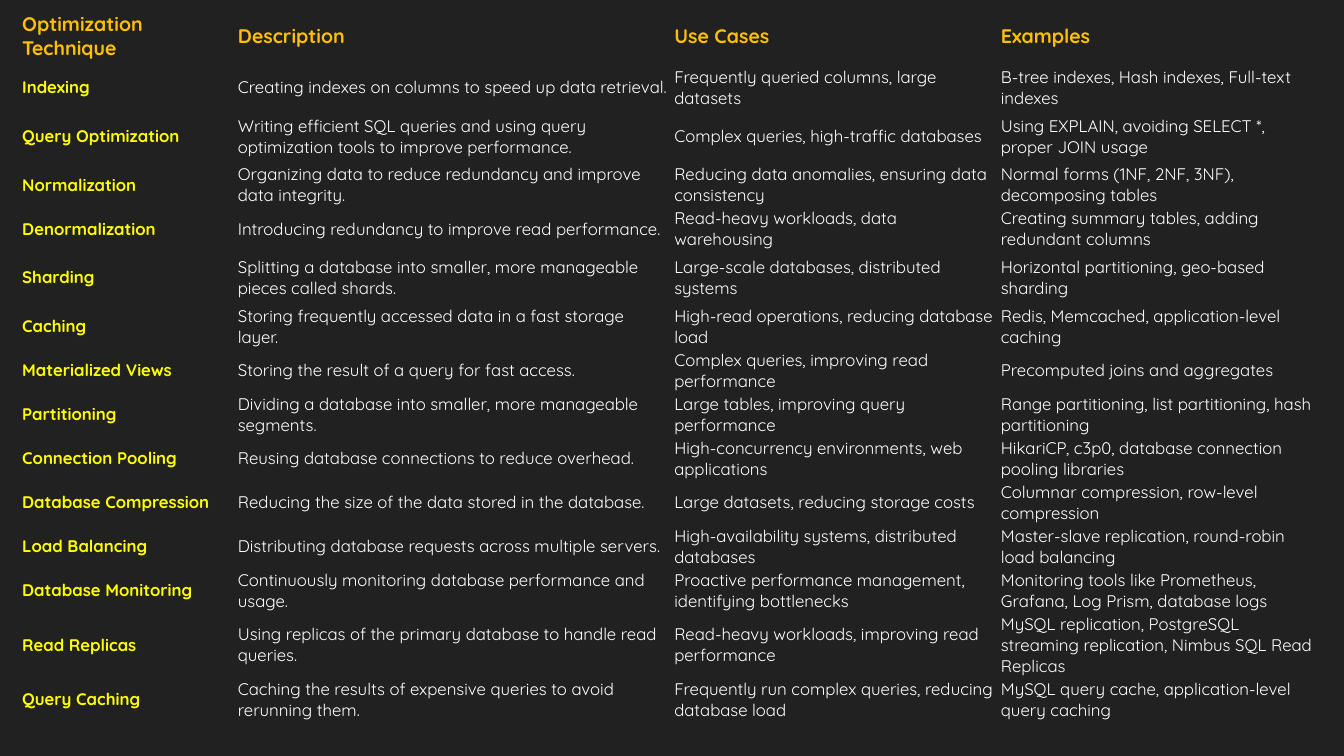
from lxml.etree import SubElement
from pptx import Presentation
from pptx.dml.color import RGBColor
from pptx.enum.text import MSO_ANCHOR as Anchor
from pptx.oxml.ns import qn
from pptx.util import Pt

COLORS = {"background": "212121", "header": "FFC000", "technique": "FFFF00", "body": "FFFFFF"}
FONT = "Quicksand"
COLUMN_WIDTHS = [154.08, 311.76, 233.28, 233.28]
HEADER_HEIGHT, ROW_HEIGHT, TALL_HEIGHT = 41.76, 29.52, 38.16
TALL_TECHNIQUES = {"Query Optimization", "Sharding", "Read Replicas"}

HEADINGS = ["Optimization Technique", "Description", "Use Cases", "Examples"]
TECHNIQUES = [
    ["Indexing", "Creating indexes on columns to speed up data retrieval.",
     "Frequently queried columns, large datasets",
     "B-tree indexes, Hash indexes, Full-text indexes"],
    ["Query Optimization",
     "Writing efficient SQL queries and using query optimization tools to improve performance.",
     "Complex queries, high-traffic databases",
     "Using EXPLAIN, avoiding SELECT *, proper JOIN usage"],
    ["Normalization", "Organizing data to reduce redundancy and improve data integrity.",
     "Reducing data anomalies, ensuring data consistency",
     "Normal forms (1NF, 2NF, 3NF), decomposing tables"],
    ["Denormalization", "Introducing redundancy to improve read performance.",
     "Read-heavy workloads, data warehousing",
     "Creating summary tables, adding redundant columns"],
    ["Sharding", "Splitting a database into smaller, more manageable pieces called shards.",
     "Large-scale databases, distributed systems",
     "Horizontal partitioning, geo-based sharding"],
    ["Caching", "Storing frequently accessed data in a fast storage layer.",
     "High-read operations, reducing database load",
     "Redis, Memcached, application-level caching"],
    ["Materialized Views", "Storing the result of a query for fast access.",
     "Complex queries, improving read performance",
     "Precomputed joins and aggregates"],
    ["Partitioning", "Dividing a database into smaller, more manageable segments.",
     "Large tables, improving query performance",
     "Range partitioning, list partitioning, hash partitioning"],
    ["Connection Pooling", "Reusing database connections to reduce overhead.",
     "High-concurrency environments, web applications",
     "HikariCP, c3p0, database connection pooling libraries"],
    ["Database Compression", "Reducing the size of the data stored in the database.",
     "Large datasets, reducing storage costs",
     "Columnar compression, row-level compression"],
    ["Load Balancing", "Distributing database requests across multiple servers.",
     "High-availability systems, distributed databases",
     "Master-slave replication, round-robin load balancing"],
    ["Database Monitoring", "Continuously monitoring database performance and usage.",
     "Proactive performance management, identifying bottlenecks",
     "Monitoring tools like Prometheus, Grafana, Log Prism, database logs"],
    ["Read Replicas", "Using replicas of the primary database to handle read queries.",
     "Read-heavy workloads, improving read performance",
     "MySQL replication, PostgreSQL streaming replication, Nimbus SQL Read Replicas"],
    ["Query Caching", "Caching the results of expensive queries to avoid rerunning them.",
     "Frequently run complex queries, reducing database load",
     "MySQL query cache, application-level query caching"],
]


class SlideBuilder:
    def __init__(self, page, font, colors):
        self.page, self.font, self.colors = page, font, colors

    def background(self, color):
        fill = self.page.background.fill
        fill.solid()
        fill.fore_color.rgb = RGBColor.from_string(self.colors[color])

    def table(self, left, top, height, widths, heights):
        frame = self.page.shapes.add_table(
            len(heights), len(widths), Pt(left), Pt(top), Pt(sum(widths)), Pt(height))
        table = frame.table
        table.first_row = table.horz_banding = False
        for column, width in zip(table.columns, widths):
            column.width = Pt(width)
        for row, row_height in zip(table.rows, heights):
            row.height = Pt(row_height)
        frame.height = Pt(height)
        return table

    def cell(self, cell, text, size, color, bold):
        cell.margin_left = cell.margin_right = Pt(2.16)
        cell.margin_top = cell.margin_bottom = Pt(0.72)
        cell.vertical_anchor = Anchor.MIDDLE
        properties = cell._tc.get_or_add_tcPr()
        for side in ("a:lnL", "a:lnR", "a:lnT", "a:lnB"):
            SubElement(SubElement(properties, qn(side)), qn("a:noFill"))
        cell.fill.background()
        cell.text_frame.text = text
        font = cell.text_frame.paragraphs[0].runs[0].font
        font.name, font.size, font.bold = self.font, Pt(size), bold
        font.color.rgb = RGBColor.from_string(self.colors[color])


def main():
    deck = Presentation()
    deck.slide_width, deck.slide_height = Pt(960), Pt(540)
    builder = SlideBuilder(deck.slides.add_slide(deck.slide_layouts[6]), FONT, COLORS)
    builder.background("background")

    heights = [HEADER_HEIGHT] + [
        TALL_HEIGHT if entry[0] in TALL_TECHNIQUES else ROW_HEIGHT for entry in TECHNIQUES]
    table = builder.table(13.68, 5.04, 501.84, COLUMN_WIDTHS, heights)
    for row, entry in enumerate([HEADINGS] + TECHNIQUES):
        for column, text in enumerate(entry):
            if row == 0:
                size, color = 14, "header"
            else:
                size, color = 12, "body" if column else "technique"
            builder.cell(table.cell(row, column), text, size, color, color != "body")

    deck.save("out.pptx")


if __name__ == "__main__":
    main()
